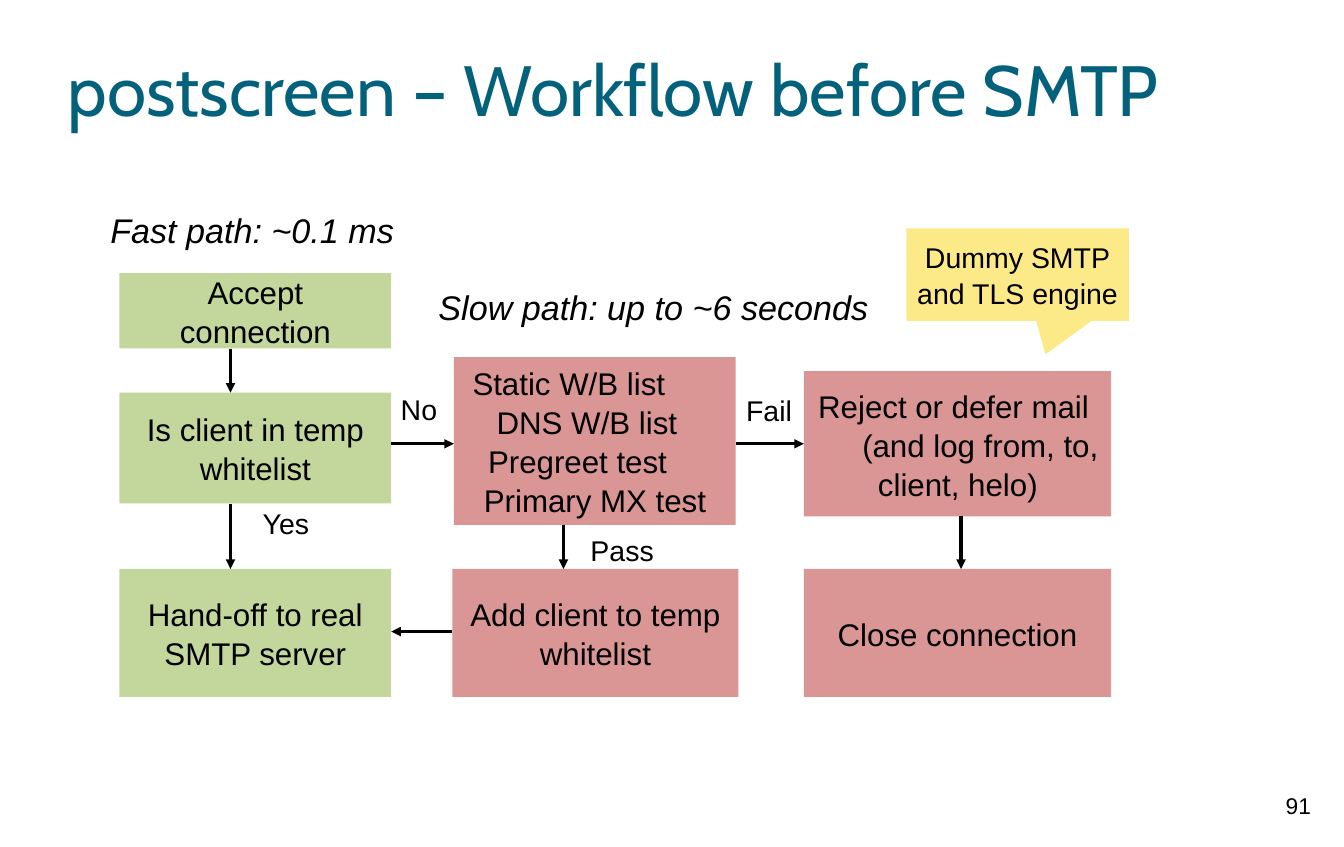
"""Build the postscreen workflow slide."""
from lxml import etree
from pptx import Presentation
from pptx.dml.color import RGBColor
from pptx.enum import shapes, text
from pptx.oxml import ns
from pptx.util import Pt

BLACK = RGBColor(0x00, 0x00, 0x00)
TEAL = RGBColor(0x04, 0x61, 0x7B)
GREEN = RGBColor(0xC3, 0xD6, 0x9B)
RED = RGBColor(0xD9, 0x96, 0x94)
YELLOW = RGBColor(0xFC, 0xE9, 0x88)

TITLE = ("postscreen – Workflow before SMTP", (47.5, 12, 850, 99.5))
PAGE_NUMBER = ("91", (884, 549.5, 57, 45))
STEPS = {
    "accept": ("Accept\vconnection", GREEN, (84, 192, 191, 53)),
    "check": ("Is client in temp\vwhitelist", GREEN, (84, 276, 191, 78)),
    "hand off": ("Hand-off to real\vSMTP server", GREEN, (84, 400, 191, 90)),
    "tests": ([("Static W/B list", 6), ("DNS W/B list", 23), ("Pregreet test", 17),
               ("Primary MX test", 14)], RED, (319, 251, 198, 118)),
    "add": ("Add client to temp\vwhitelist", RED, (318, 400, 201, 90)),
    "reject": ([("Reject or defer mail", 3), ("(and log from, to,", 34),
                ("client, helo)", 45)], RED, (565, 261, 216, 102)),
    "close": ("Close connection", RED, (565, 400, 216, 90)),
}
DOWN_ARROWS = [("accept", "check", 162), ("check", "hand off", 162),
               ("tests", "add", 396), ("reject", "close", 675.5)]
SIDE_ARROWS = [("check", "tests", 312), ("tests", "reject", 312), ("add", "hand off", 444)]
LABELS = [("No", (258.5, 272, 72, 32)), ("Yes", (163.5, 352, 75, 32)),
          ("Pass", (402, 371, 70.5, 32)), ("Fail", (513.5, 273, 54, 32))]
HEADINGS = [("Fast path: ~0.1 ms", (58.5, 144, 237.5, 36)),
            ("Slow path: up to ~6 seconds", (296.5, 198, 325.5, 36))]
CALLOUT = ("Dummy SMTP\vand TLS engine", (637, 160.5, 156.5, 65))
LINE_SPACING = 1.04


def write(shape, content, size, color=BLACK, font="Arial", italic=False,
          anchor=text.MSO_ANCHOR.MIDDLE, align=text.PP_ALIGN.CENTER, spacing=None):
    frame = shape.text_frame
    frame.word_wrap = True
    frame.vertical_anchor = anchor
    lines = [(content, 0)] if isinstance(content, str) else content
    frame.text = "\n".join(line for line, _ in lines)
    for paragraph, (_, indent) in zip(frame.paragraphs, lines):
        paragraph.alignment = text.PP_ALIGN.LEFT if indent else align
        if indent:
            paragraph._p.get_or_add_pPr().set("marL", str(Pt(indent)))
        if spacing:
            paragraph.line_spacing = spacing
        paragraph.font.size = Pt(size)
        paragraph.font.name = font
        paragraph.font.italic = italic
        paragraph.font.color.rgb = color


def add_text(slide, content, box, size, **style):
    shape = slide.shapes.add_textbox(*map(Pt, box))
    write(shape, content, size, **style)
    return shape


def add_block(slide, kind, content, box, fill, size):
    shape = slide.shapes.add_shape(kind, *map(Pt, box))
    shape.shadow.inherit = False
    shape.fill.solid()
    shape.fill.fore_color.rgb = fill
    shape.line.fill.background()
    write(shape, content, size, spacing=LINE_SPACING)
    return shape


def add_arrow(slide, *ends):
    arrow = slide.shapes.add_connector(shapes.MSO_CONNECTOR.STRAIGHT, *map(Pt, ends))
    arrow.line.color.rgb = BLACK
    arrow.line.width = Pt(2.25)
    etree.SubElement(arrow.line._get_or_add_ln(), ns.qn("a:tailEnd"), type="triangle")
    etree.SubElement(arrow._element.spPr, ns.qn("a:effectLst"))


def main():
    presentation = Presentation()
    presentation.slide_width, presentation.slide_height = Pt(944.64), Pt(595.44)
    slide = presentation.slides.add_slide(presentation.slide_layouts[6])

    title = add_text(slide, *TITLE, 50, color=TEAL, font="Cabin", align=text.PP_ALIGN.LEFT)
    frame = title.text_frame
    frame.margin_left = frame.margin_right = frame.margin_top = frame.margin_bottom = 0

    for content, fill, box in STEPS.values():
        add_block(slide, shapes.MSO_SHAPE.RECTANGLE, content, box, fill, 22)
    boxes = {name: box for name, (_, _, box) in STEPS.items()}
    for source, target, x in DOWN_ARROWS:
        _, top, _, height = boxes[source]
        add_arrow(slide, x, top + height, x, boxes[target][1])
    for source, target, y in SIDE_ARROWS:
        left, _, width, _ = boxes[source]
        target_left, _, target_width, _ = boxes[target]
        if target_left > left:
            add_arrow(slide, left + width, y, target_left, y)
        else:
            add_arrow(slide, left, y, target_left + target_width, y)

    for label, box in LABELS:
        add_text(slide, label, box, 20, anchor=text.MSO_ANCHOR.TOP)
    for heading, box in HEADINGS:
        add_text(slide, heading, box, 24, italic=True, anchor=text.MSO_ANCHOR.TOP)
    callout = add_block(slide, shapes.MSO_SHAPE.RECTANGULAR_CALLOUT, *CALLOUT, YELLOW, 20)
    callout.adjustments[0], callout.adjustments[1] = 0.125, 0.863
    number = add_text(slide, *PAGE_NUMBER, 16, anchor=text.MSO_ANCHOR.TOP)
    number.text_frame.margin_top = Pt(7.2)
    presentation.save("out.pptx")


if __name__ == "__main__":
    main()
